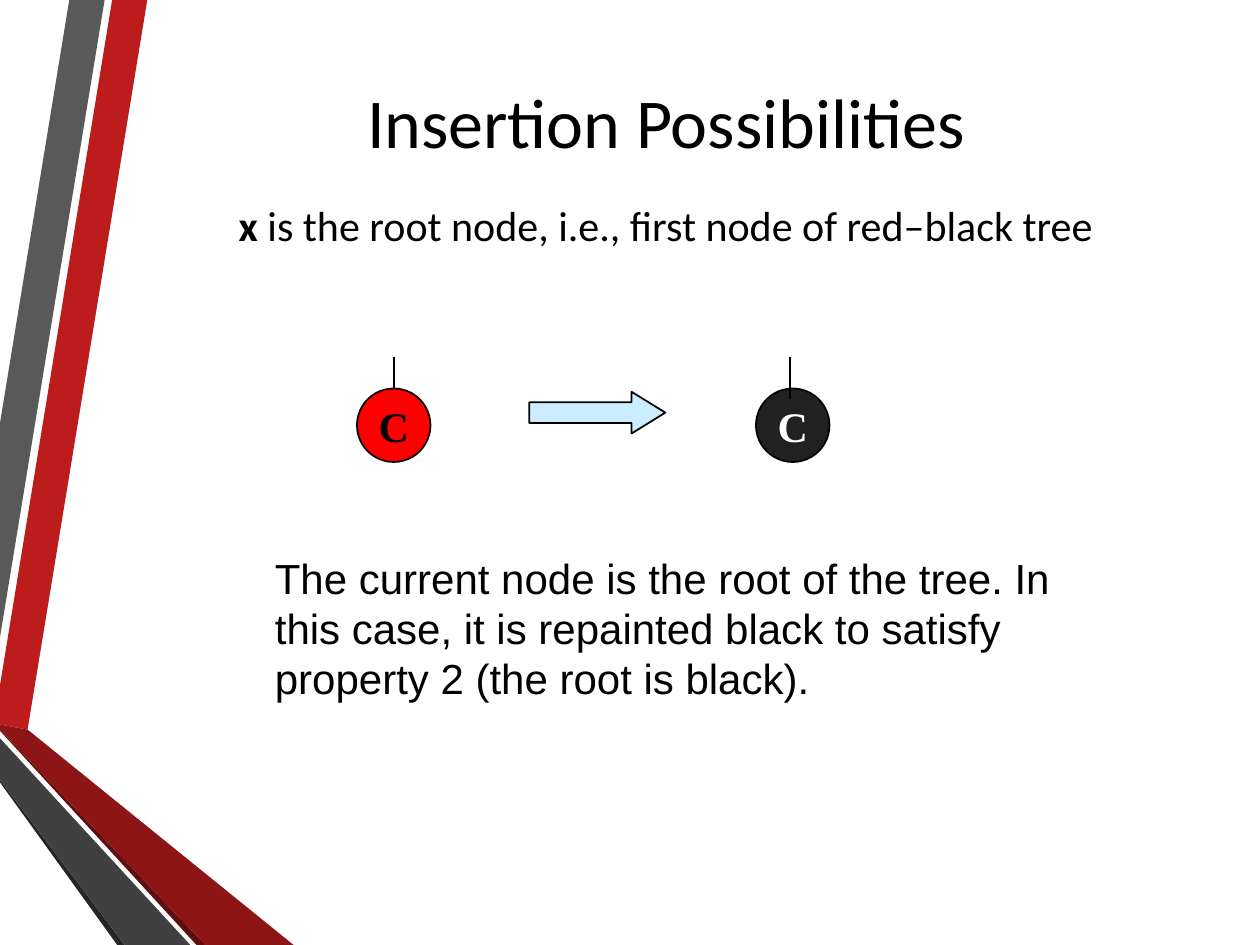
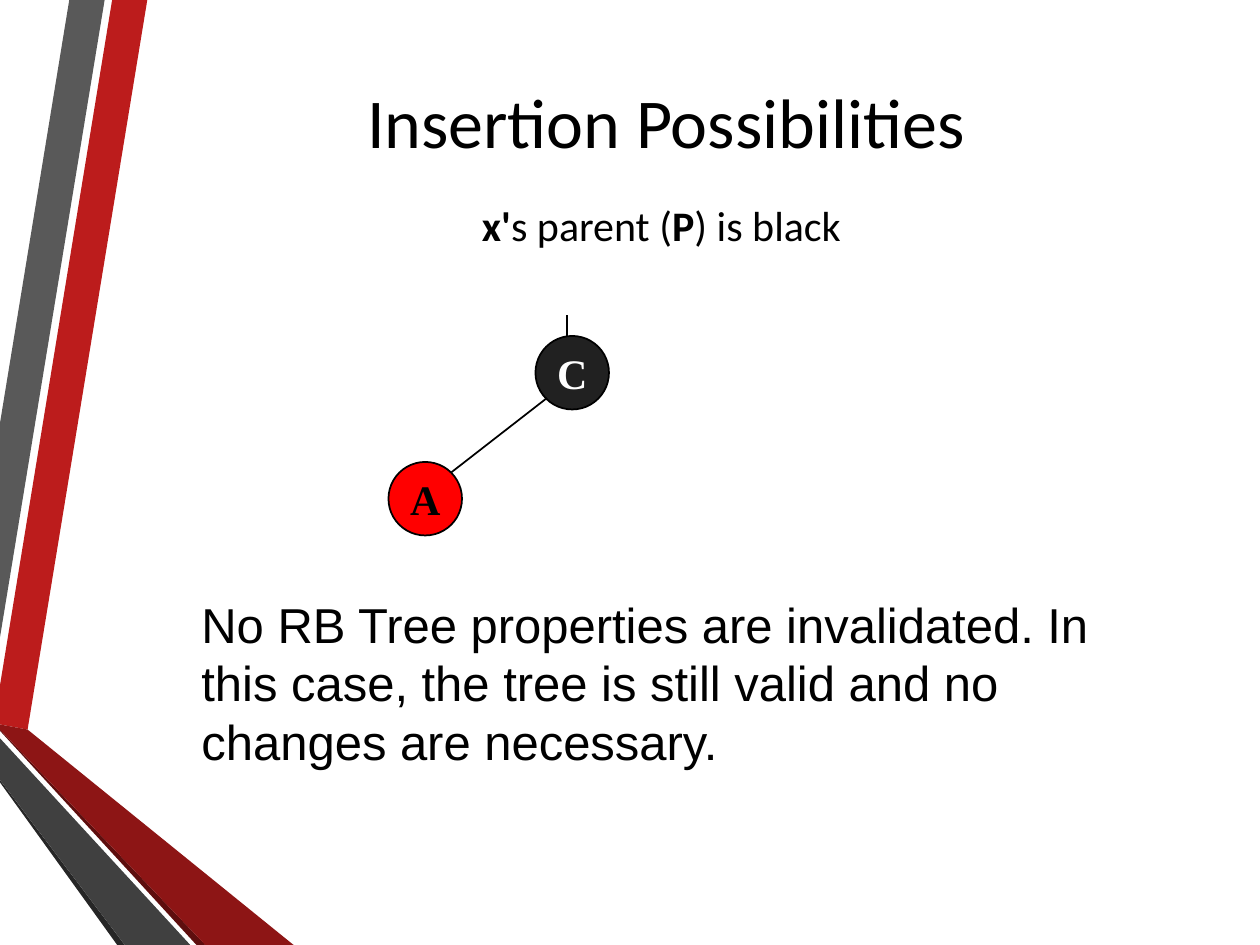
"""Build two slides on red-black tree insertion cases."""
from dataclasses import dataclass
from typing import Optional

import pptx
import pptx.dml.color
import pptx.enum.shapes
import pptx.enum.text
import pptx.oxml.ns
import pptx.util
from lxml import etree

Pt = pptx.util.Pt
ANCHOR = pptx.enum.text.MSO_ANCHOR
ALIGN = pptx.enum.text.PP_ALIGN
SHAPE = pptx.enum.shapes.MSO_SHAPE

COLORS = {
    "ink": "000000", "paper": "FFFFFF", "red_node": "FF0000",
    "black_node": "212121", "arrow": "CCECFF", "red": "BC1C1C",
    "grey": "595959", "grey_edge": "262626", "red_edge": "5E0E0E",
    "dark_red": "8D1515", "dark_grey": "404040",
}
NODE_SIZE = 42


@dataclass(frozen=True)
class Band:
    color: str
    points: tuple


@dataclass(frozen=True)
class Node:
    label: str
    left: float
    top: float
    fill: str
    text: str


@dataclass(frozen=True)
class Edge:
    start: tuple
    end: tuple
    node: Optional[int] = None


@dataclass(frozen=True)
class Case:
    heading: tuple
    heading_left: float
    nodes: tuple
    edges: tuple
    note: str
    note_box: tuple
    note_size: float
    arrow: Optional[tuple] = None


BANDS = (
    Band("red", ((0, 391.7), (0, 414), (15.8, 416.9), (84.2, 0), (64.1, 0))),
    Band("grey", ((59.8, 0), (39.6, 0), (0, 241.9), (0, 364.3))),
    Band("grey_edge", ((0, 445.7), (0, 447.1), (67, 540), (71.3, 540))),
    Band("red_edge", ((0, 416.9), (0, 417.6), (112.3, 540), (117.4, 540))),
    Band("dark_red", ((0, 416.9), (117.4, 540), (167.8, 540), (15.8, 416.9), (0, 414))),
    Band("dark_grey", ((0, 445.7), (71.3, 540), (108.7, 540), (0, 421.9))),
)

CASES = (
    Case(
        heading=(("x", True), (" is the root node, i.e., first node of red–black tree", False)),
        heading_left=77,
        nodes=(Node("C", 432, 222, "black_node", "paper"),
               Node("C", 204, 222, "red_node", "ink")),
        edges=(Edge((225, 204), (225, 222), node=1), Edge((451.4, 204), (451.4, 228))),
        note="The current node is the root of the tree. In this case, it is "
             "repainted black to satisfy property 2 (the root is black).",
        note_box=(150, 312, 474, 93.6),
        note_size=24,
        arrow=(302.4, 223.9, 77.8, 23.8),
    ),
    Case(
        heading=(("x'", True), ("s parent (", False), ("P", True), (") is black", False)),
        heading_left=72,
        nodes=(Node("C", 306, 192, "black_node", "paper"),
               Node("A", 222, 264, "red_node", "ink")),
        edges=(Edge((312.5, 227.5), (257.8, 270)), Edge((324, 180), (324, 192))),
        note="No RB Tree properties are invalidated. In this case, the tree is "
             "still valid and no changes are necessary.",
        note_box=(108, 336, 528, 108),
        note_size=28,
    ),
)


def rgb(name: str):
    return pptx.dml.color.RGBColor.from_string(COLORS[name])


def set_font(p, face: str, size: float, color: str = "ink", bold: Optional[bool] = None) -> None:
    p.font.name, p.font.size, p.font.bold = face, Pt(size), bold
    p.font.color.rgb = rgb(color)


def set_insets(tf, side: float, top: float, bottom: float) -> None:
    tf.margin_left = tf.margin_right = Pt(side)
    tf.margin_top, tf.margin_bottom = Pt(top), Pt(bottom)


def paint(sp, fill: str, outlined: bool = True) -> None:
    sp.shadow.inherit = False
    sp.fill.solid()
    sp.fill.fore_color.rgb = rgb(fill)
    if outlined:
        sp.line.color.rgb = rgb("ink")
        sp.line.width = Pt(1)
    else:
        sp.line.fill.background()


def add_bands(s, layout) -> None:
    tree = layout.shapes.element
    for i, band in enumerate(BANDS):
        first, *rest = [(Pt(x), Pt(y)) for x, y in band.points]
        builder = s.shapes.build_freeform(*first)
        builder.add_line_segments(rest, close=True)
        sp = builder.convert_to_shape()
        paint(sp, band.color, outlined=False)
        sp.name = f"Band {i + 1}"
        sp.element.nvSpPr.cNvPr.set("id", str(100 + i))
        tree.insert(2 + i, sp.element)


def add_title(s) -> None:
    sp = s.shapes.title
    sp.left, sp.top, sp.width, sp.height = Pt(77), Pt(36), Pt(607), Pt(66)
    tf = sp.text_frame
    tf.text = "Insertion Possibilities"
    tf.vertical_anchor = ANCHOR.MIDDLE
    set_insets(tf, 0, 0, 0)
    p = tf.paragraphs[0]
    p.alignment = ALIGN.CENTER
    set_font(p, "Calibri", 40)


def add_heading(s, case: Case) -> None:
    left = case.heading_left
    tf = s.shapes.add_textbox(Pt(left), Pt(108), Pt(684 - left), Pt(54)).text_frame
    tf.word_wrap = True
    set_insets(tf, 0, 6, 0)
    p = tf.paragraphs[0]
    p.alignment = ALIGN.CENTER
    set_font(p, "Calibri", 24)
    for text, bold in case.heading:
        r = p.add_run()
        r.text, r.font.bold = text, bold


def add_node(s, node: Node):
    sp = s.shapes.add_shape(SHAPE.OVAL, Pt(node.left), Pt(node.top), Pt(NODE_SIZE), Pt(NODE_SIZE))
    paint(sp, node.fill)
    tf = sp.text_frame
    tf.text, tf.word_wrap, tf.vertical_anchor = node.label, False, ANCHOR.MIDDLE
    set_insets(tf, 7.2, 3.6, 3.6)
    p = tf.paragraphs[0]
    p.alignment = ALIGN.CENTER
    set_font(p, "Times New Roman", 24, node.text, True)
    return sp


def add_edge(s, edge: Edge, nodes: list) -> None:
    ends = [Pt(v) for v in edge.start + edge.end]
    line = s.shapes.add_connector(pptx.enum.shapes.MSO_CONNECTOR.STRAIGHT, *ends)
    line.line.color.rgb = rgb("ink")
    line.line.width = Pt(1)
    etree.SubElement(line.element.spPr, pptx.oxml.ns.qn("a:effectLst"))
    if edge.node is not None:
        line.end_connect(nodes[edge.node], 0)


def add_arrow(s, box: tuple) -> None:
    sp = s.shapes.add_shape(SHAPE.RIGHT_ARROW, *(Pt(v) for v in box))
    sp.adjustments[0], sp.adjustments[1] = 0.5, 0.81
    paint(sp, "arrow")


def add_note(s, case: Case) -> None:
    tf = s.shapes.add_textbox(*(Pt(v) for v in case.note_box)).text_frame
    tf.text, tf.word_wrap = case.note, True
    tf.auto_size = pptx.enum.text.MSO_AUTO_SIZE.SHAPE_TO_FIT_TEXT
    set_insets(tf, 7.2, 3.6, 3.6)
    set_font(tf.paragraphs[0], "Arial", case.note_size)


def add_case(s, case: Case) -> None:
    add_title(s)
    add_heading(s, case)
    nodes = [add_node(s, node) for node in case.nodes]
    for edge in case.edges:
        add_edge(s, edge, nodes)
    if case.arrow:
        add_arrow(s, case.arrow)
    add_note(s, case)


def main() -> None:
    prs = pptx.Presentation()
    prs.slide_width, prs.slide_height = Pt(720), Pt(540)
    layout = prs.slide_layouts.get_by_name("Title Only")
    slides = [prs.slides.add_slide(layout) for _ in CASES]
    add_bands(slides[0], layout)
    for s, case in zip(slides, CASES):
        add_case(s, case)
    prs.save("out.pptx")


if __name__ == "__main__":
    main()
